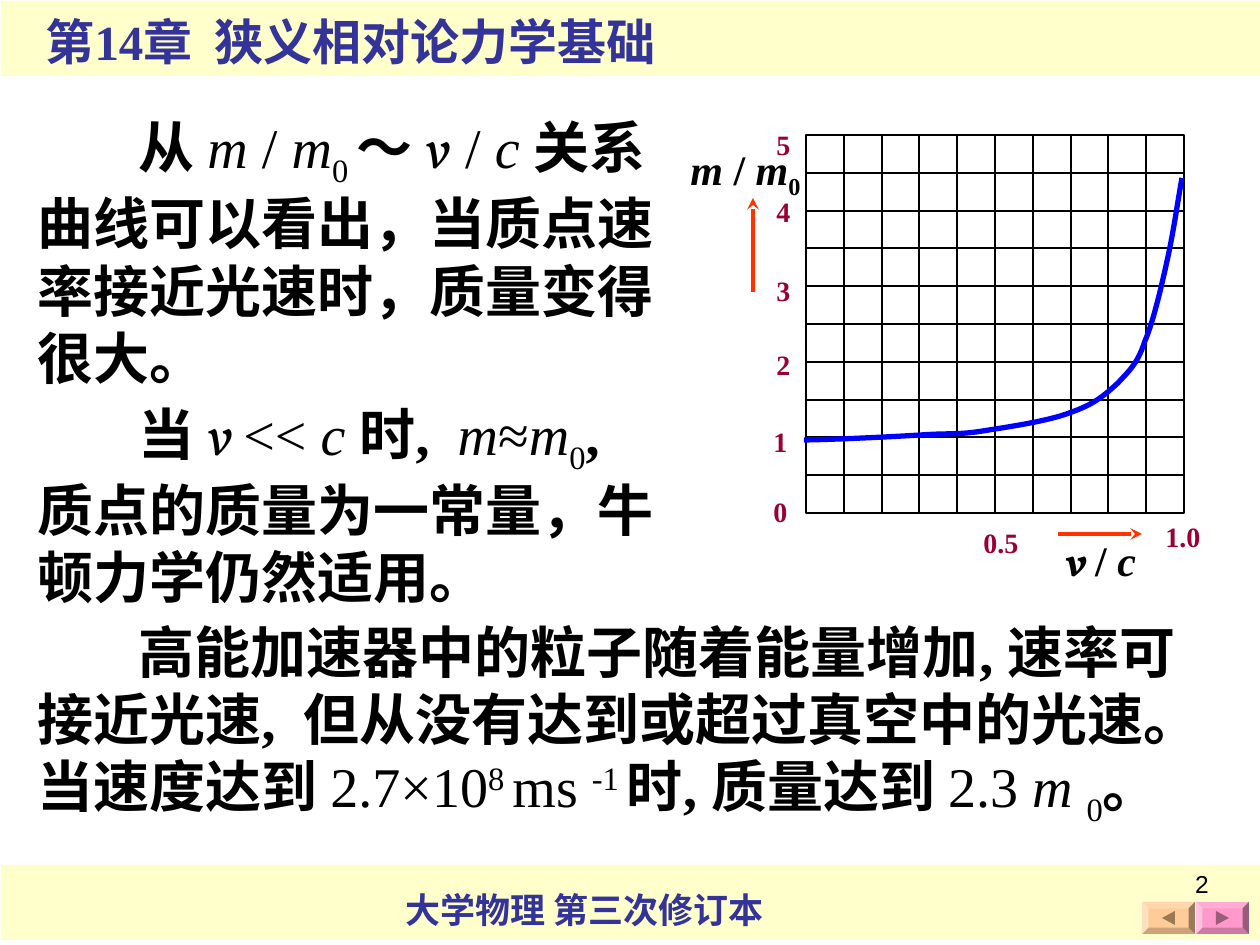
from dataclasses import dataclass

import pptx
import pptx.dml.color
import pptx.enum.dml
import pptx.enum.lang
import pptx.enum.shapes
import pptx.enum.text
import pptx.oxml
import pptx.oxml.ns
import pptx.util

PX = 914400 / 126
COLORS = {
    "band": "FFFFCC", "heading": "333399", "text": "000000", "tick": "990033",
    "arrow": "FF3300", "curve": "0000FF", "next": "FF99CC", "back": "FFCC99",
    "next_mark": "995C7A", "back_mark": "997A52",
}
SERIF, VELOCITY = "Times New Roman", "Vollkorn"
SHAPES = pptx.enum.shapes.MSO_SHAPE
ALIGN = pptx.enum.text.PP_ALIGN


@dataclass
class Box:
    left: int
    top: int
    width: int
    height: int


@dataclass
class Piece:
    text: str
    bold: bool = True
    italic: bool = False
    baseline: int = 0
    font: str = SERIF


@dataclass
class Button:
    left: int
    color: str
    mark: list[tuple[int, int]]


def emu(px: float) -> int:
    return round(px * PX)


def rgb(name: str) -> pptx.dml.color.RGBColor:
    return pptx.dml.color.RGBColor.from_string(COLORS[name])


def plain(text: str) -> Piece:
    return Piece(text, bold=False)


def symbol(text: str, font: str = SERIF) -> Piece:
    return Piece(text, bold=False, italic=True, font=font)


def script(text: str, baseline: int = -25) -> Piece:
    return Piece(text, bold=False, baseline=baseline)


def fill_text(shape, box: Box, pieces: list[Piece], size: int, color: str,
              indent: int = 0, wrap: bool = True, align=ALIGN.LEFT) -> None:
    """Place a text shape and write one paragraph into it."""
    shape.left, shape.top = emu(box.left), emu(box.top)
    shape.width, shape.height = emu(box.width), emu(box.height)
    frame = shape.text_frame
    frame.word_wrap = wrap
    frame.auto_size = pptx.enum.text.MSO_AUTO_SIZE.SHAPE_TO_FIT_TEXT
    frame.vertical_anchor = pptx.enum.text.MSO_ANCHOR.TOP
    paragraph = frame.paragraphs[0]
    properties = paragraph._p.get_or_add_pPr()
    properties.set("marL", "0")
    properties.set("indent", str(emu(indent)))
    properties.append(pptx.oxml.parse_xml(
        f'<a:buNone {pptx.oxml.ns.nsdecls("a")}/>'))
    paragraph.alignment = align
    paragraph.space_before = pptx.util.Pt(0)
    for piece in pieces:
        run = paragraph.add_run()
        run.text = piece.text
        run.font.size = pptx.util.Pt(size)
        run.font.name = piece.font
        run.font.bold = piece.bold
        run.font.italic = piece.italic
        run.font.color.rgb = rgb(color)
        run.font.language_id = pptx.enum.lang.MSO_LANGUAGE_ID.SIMPLIFIED_CHINESE
        if piece.baseline:
            run._r.get_or_add_rPr().set("baseline", str(piece.baseline * 1000))


def add_text(slide, box: Box, pieces: list[Piece], size: int, color: str, **options) -> None:
    shape = slide.shapes.add_textbox(0, 0, 0, 0)
    fill_text(shape, box, pieces, size, color, **options)


def add_shape(slide, kind, box: Box, color: str):
    shape = slide.shapes.add_shape(
        kind, emu(box.left), emu(box.top), emu(box.width), emu(box.height))
    shape.shadow.inherit = False
    shape.fill.solid()
    shape.fill.fore_color.rgb = rgb(color)
    shape.line.fill.background()
    return shape


def add_line(slide, start: tuple[int, int], end: tuple[int, int],
             color: str = "text", width: float = 1.5, arrow: bool = False) -> None:
    line = slide.shapes.add_connector(
        pptx.enum.shapes.MSO_CONNECTOR.STRAIGHT, *map(emu, start + end))
    line.line.color.rgb = rgb(color)
    line.line.width = pptx.util.Pt(width)
    namespace = pptx.oxml.ns.nsdecls("a")
    if arrow:
        line.line._get_or_add_ln().append(
            pptx.oxml.parse_xml(f'<a:tailEnd {namespace} type="stealth"/>'))
    line._element.spPr.append(pptx.oxml.parse_xml(f"<a:effectLst {namespace}/>"))


def add_outline(slide, points: list[tuple[float, float]], close: bool):
    corners = [(emu(x), emu(y)) for x, y in points]
    builder = slide.shapes.build_freeform(*corners[0])
    builder.add_line_segments(corners[1:], close=close)
    shape = builder.convert_to_shape()
    shape.shadow.inherit = False
    return shape


def bezier_points(knots: list[tuple[int, int]], steps: int = 12) -> list[tuple[float, float]]:
    """Sample a chain of cubic curves that share their end points."""
    points = [knots[0]]
    for first in range(0, len(knots) - 1, 3):
        segment = knots[first:first + 4]
        for step in range(1, steps + 1):
            t = step / steps
            weights = ((1 - t) ** 3, 3 * t * (1 - t) ** 2, 3 * t * t * (1 - t), t ** 3)
            points.append(tuple(
                sum(w * knot[axis] for w, knot in zip(weights, segment)) for axis in (0, 1)))
    return points


def add_graph(slide) -> None:
    # Grid of ten by ten cells
    left, top, side, cells = 806, 135, 378, 10
    frame = add_shape(slide, SHAPES.RECTANGLE, Box(left, top, side, side), "text")
    frame.fill.background()
    frame.line.color.rgb = rgb("text")
    frame.line.width = pptx.util.Pt(1.5)
    for index in range(1, cells):
        offset = round(index * side / cells)
        add_line(slide, (left + offset, top), (left + offset, top + side))
        add_line(slide, (left, top + offset), (left + side, top + offset))

    # Tick labels
    ticks = [("0", 761, 488, 65), ("1", 761, 418, 65), ("2", 764, 341, 65),
             ("3", 764, 267, 65), ("4", 764, 188, 65), ("5", 764, 121, 65),
             ("0.5", 971, 519, 86), ("1.0", 1153, 513, 63)]
    for label, x, y, width in ticks:
        add_text(slide, Box(x, y, width, 47), [Piece(label)], 16, "tick")

    # Axis names and arrows
    add_line(slide, (1058, 534), (1142, 534), "arrow", 2.25, arrow=True)
    add_text(slide, Box(1053, 528, 107, 63),
             [Piece("v ", italic=True, font=VELOCITY), Piece("/ "), Piece("c", italic=True)],
             24, "text")
    add_text(slide, Box(678, 137, 189, 71),
             [Piece("m ", italic=True), Piece("/ "), Piece("m", italic=True),
              Piece("0", baseline=-25)], 24, "text")
    add_line(slide, (753, 292), (753, 198), "arrow", 2.25, arrow=True)

    # Mass curve
    knots = [(804, 440), (824, 440), (891, 437), (921, 435), (951, 433), (958, 435),
             (983, 431), (1008, 427), (1050, 421), (1072, 412), (1095, 404), (1106, 394),
             (1118, 383), (1130, 370), (1138, 363), (1145, 341), (1154, 320), (1162, 284),
             (1168, 257), (1174, 229), (1179, 194), (1182, 178)]
    curve = add_outline(slide, bezier_points(knots), close=False)
    curve.fill.background()
    curve.line.color.rgb = rgb("curve")
    curve.line.width = pptx.util.Pt(3)


def add_button(slide, button: Button) -> None:
    bevel = add_shape(slide, SHAPES.BEVEL, Box(button.left, 902, 53, 32), button.color)
    bevel.adjustments[0] = 0.2
    mark = add_outline(slide, [(button.left + x, 902 + y) for x, y in button.mark], close=True)
    mark.fill.solid()
    mark.fill.fore_color.rgb = rgb(button.color + "_mark")
    mark.line.fill.background()


def main() -> None:
    presentation = pptx.Presentation()
    presentation.slide_width, presentation.slide_height = emu(1260), emu(945)
    slide = presentation.slides.add_slide(presentation.slide_layouts[1])

    # Header and footer bands, behind the placeholders
    for top in (1, 865):
        band = add_shape(slide, SHAPES.RECTANGLE, Box(1, top, 1259, 75), "band")
        slide.shapes._spTree.insert(2, band._element)
    fill_text(slide.shapes.title, Box(33, 5, 709, 72),
              [Piece("第14章  狭义相对论力学基础")], 28, "heading", wrap=False)
    add_text(slide, Box(393, 882, 393, 55), [Piece("大学物理 第三次修订本")],
             20, "heading", wrap=False)
    add_button(slide, Button(1196, "next", [(20, 9), (33, 16), (20, 23)]))
    add_button(slide, Button(1142, "back", [(20, 16), (33, 9), (33, 23)]))

    # Body text
    fill_text(slide.placeholders[1], Box(25, 106, 655, 291), [
        Piece("从 "), symbol("m "), plain("/ "), symbol("m"), script("0 "), Piece("～ "),
        symbol("v", VELOCITY), plain(" / "), symbol("c "),
        Piece("关系曲线可以看出，当质点速率接近光速时，质量变得很大。"),
    ], 32, "text", indent=101)
    add_text(slide, Box(25, 393, 655, 224), [
        Piece("当 "), symbol("v ", VELOCITY), plain("<< "), symbol("c "), Piece("时,  "),
        symbol("m"), plain("≈"), symbol("m"), script("0"),
        Piece(", 质点的质量为一常量，牛顿力学仍然适用。"),
    ], 32, "text", indent=101)
    add_graph(slide)
    add_text(slide, Box(25, 611, 1211, 291), [
        Piece("高能加速器中的粒子随着能量增加, 速率可接近光速,  "
              "但从没有达到或超过真空中的光速。 当速度达到 "),
        plain("2.7×10"), script("8 ", 30), plain("ms "), script("-1 ", 30),
        Piece("时, 质量达到 "), plain("2.3 "), symbol("m "), script("0"), Piece("。"),
    ], 32, "text", indent=101)

    # Slide number
    add_text(slide, Box(927, 863, 294, 66), [Piece("2", bold=False, font="Arial")],
             14, "text", align=ALIGN.RIGHT)
    presentation.save("out.pptx")


if __name__ == "__main__":
    main()
